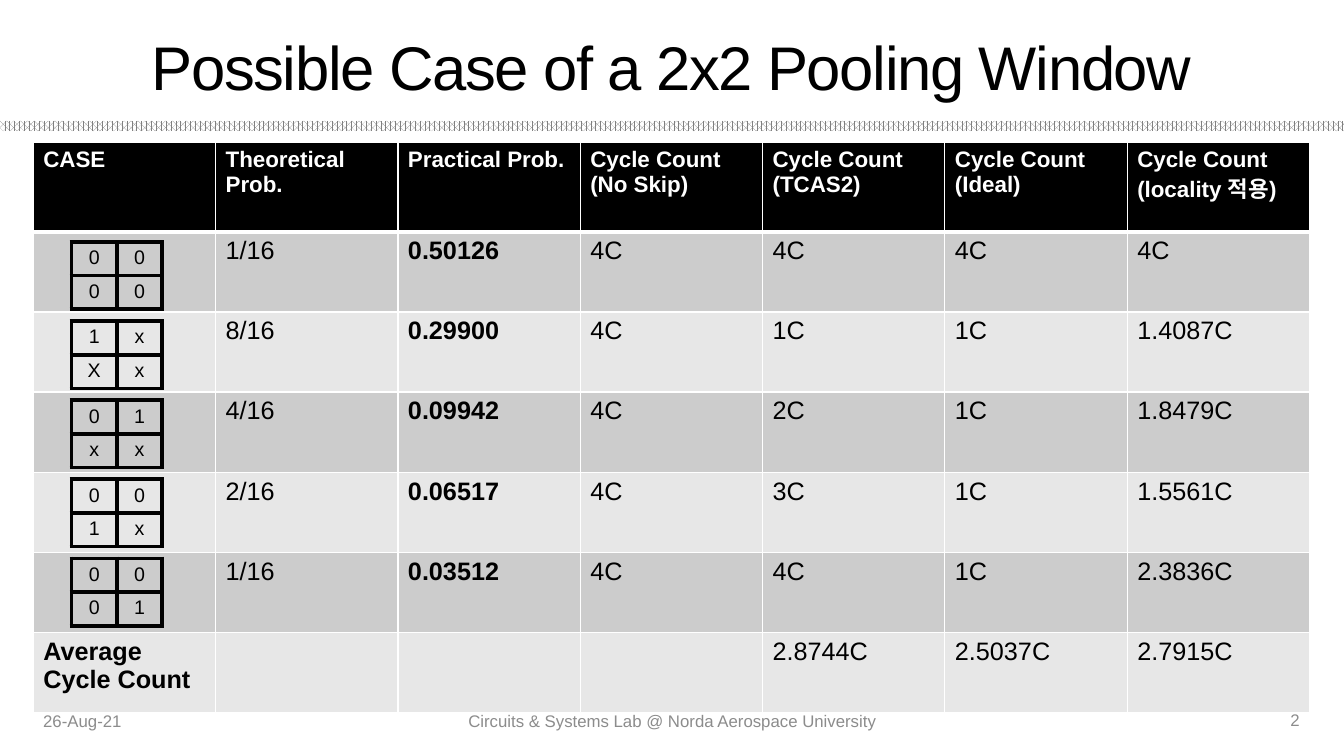
from lxml.etree import SubElement
from pptx import Presentation
from pptx.dml.color import RGBColor
from pptx.enum.dml import MSO_PATTERN
from pptx.enum.shapes import MSO_SHAPE as Preset
from pptx.enum.text import MSO_ANCHOR as Anchor, PP_ALIGN as Align
from pptx.oxml.ns import qn
from pptx.util import Inches, Pt

BLACK = RGBColor(0, 0, 0)
WHITE = RGBColor(255, 255, 255)
GRAY = RGBColor(0x80, 0x80, 0x80)
FOOTER_GRAY = RGBColor(0x8C, 0x8C, 0x8C)
DARK_BAND = RGBColor(0xCC, 0xCC, 0xCC)
LIGHT_BAND = RGBColor(0xE7, 0xE7, 0xE7)

MARGIN = 0.33
CONTENT_WIDTH = 12.66
TABLE_TOP = 1.41
HEADER_HEIGHT = 0.89
CASE_HEIGHT = 0.795

HEADINGS = ["CASE", "Theoretical\nProb.", "Practical Prob.",
            "Cycle Count\n(No Skip)", "Cycle Count\n(TCAS2)",
            "Cycle Count\n(Ideal)", "Cycle Count\n(locality 적용)"]
RESULTS = [
    ["", "1/16", "0.50126", "4C", "4C", "4C", "4C"],
    ["", "8/16", "0.29900", "4C", "1C", "1C", "1.4087C"],
    ["", "4/16", "0.09942", "4C", "2C", "1C", "1.8479C"],
    ["", "2/16", "0.06517", "4C", "3C", "1C", "1.5561C"],
    ["", "1/16", "0.03512", "4C", "4C", "1C", "2.3836C"],
    ["Average Cycle Count", "", "", "", "2.8744C", "2.5037C", "2.7915C"],
]
WINDOWS = [["00", "00"], ["1x", "Xx"], ["01", "xx"], ["00", "1x"], ["00", "01"]]


def write(frame, text, size=18, color=BLACK, bold=False, align=Align.LEFT, spacing=0):
    for index, line in enumerate(text.split("\n")):
        paragraph = frame.add_paragraph() if index else frame.paragraphs[0]
        paragraph.alignment = align
        if not line:
            paragraph.font.size = Pt(size)
            continue
        run = paragraph.add_run()
        run.text = line
        run.font.name = "Arial"
        run.font.size = Pt(size)
        run.font.bold = bold
        run.font.color.rgb = color
        if spacing:
            run._r.get_or_add_rPr().set("spc", str(spacing * 100))


def add_label(slide, text, left, top, width, height, **style):
    box = slide.shapes.add_textbox(Inches(left), Inches(top), Inches(width), Inches(height))
    box.text_frame.word_wrap = True
    box.text_frame.vertical_anchor = Anchor.MIDDLE
    write(box.text_frame, text, **style)


def add_divider(slide):
    divider = slide.shapes.add_shape(Preset.RECTANGLE, 0, Inches(1.2), Inches(13.33), Inches(0.1))
    divider.shadow.inherit = False
    divider.line.fill.background()
    divider.fill.patterned()
    divider.fill.pattern = MSO_PATTERN.PERCENT_70
    divider.fill.fore_color.rgb = GRAY
    divider.fill.back_color.rgb = WHITE


def set_borders(cell, color, left=1, right=1, top=1, bottom=1):
    properties = cell._tc.get_or_add_tcPr()
    sides = zip("LRTB", (left, right, top, bottom))
    for position, (side, width) in enumerate(sides):
        line = SubElement(properties, qn(f"a:ln{side}"), w=str(Pt(width)))
        solid = SubElement(line, qn("a:solidFill"))
        SubElement(solid, qn("a:srgbClr"), val=str(color))
        properties.insert(position, line)


def add_grid(slide, left, top, width, row_heights, column_count):
    grid = slide.shapes.add_table(
        len(row_heights), column_count, Inches(left), Inches(top),
        Inches(width), Inches(sum(row_heights))).table
    grid.first_row = False
    grid.horz_banding = False
    for column in grid.columns:
        column.width = Inches(width / column_count)
    for row, height in zip(grid.rows, row_heights):
        row.height = Inches(height)
    return grid


def add_results(slide):
    heights = [HEADER_HEIGHT] + [CASE_HEIGHT] * len(RESULTS)
    results = add_grid(slide, MARGIN, TABLE_TOP, CONTENT_WIDTH, heights, len(HEADINGS))
    for r, values in enumerate([HEADINGS] + RESULTS):
        header = r == 0
        band = BLACK if header else DARK_BAND if r % 2 else LIGHT_BAND
        for c, value in enumerate(values):
            cell = results.cell(r, c)
            cell.fill.solid()
            cell.fill.fore_color.rgb = band
            set_borders(cell, WHITE, top=3 if r == 1 else 1, bottom=3 if header else 1)
            write(cell.text_frame, value, size=16 if header else 18,
                  color=WHITE if header else BLACK, bold=header or c in (0, 2))


def add_window(slide, rows, left, top):
    window = add_grid(slide, left, top, 0.9, [0.28, 0.28], 2)
    for r, values in enumerate(rows):
        for c, value in enumerate(values):
            cell = window.cell(r, c)
            cell.fill.background()
            set_borders(cell, BLACK, 3, 3, 3, 3)
            write(cell.text_frame, value, size=14, align=Align.CENTER)


def main():
    deck = Presentation()
    deck.slide_width = Inches(13.33)
    deck.slide_height = Inches(7.5)
    slide = deck.slides.add_slide(deck.slide_layouts[6])

    add_divider(slide)
    add_results(slide)
    footer = {"size": 12, "color": FOOTER_GRAY}
    add_label(slide, "26-Aug-21", MARGIN, 6.95, 3, 0.4, **footer)
    add_label(slide, "Circuits & Systems Lab @ Norda Aerospace University",
              4.42, 6.95, 4.5, 0.4, align=Align.CENTER, **footer)
    add_label(slide, "2", 9.95, 6.94, 3.04, 0.4, align=Align.RIGHT, **footer)
    add_label(slide, "Possible Case of a 2x2 Pooling Window", MARGIN, 0.22,
              CONTENT_WIDTH, 0.87, size=44, align=Align.CENTER, spacing=-1)
    for index, rows in enumerate(WINDOWS):
        add_window(slide, rows, 0.71, 2.4 + index * 0.785)

    deck.save("out.pptx")


main()
